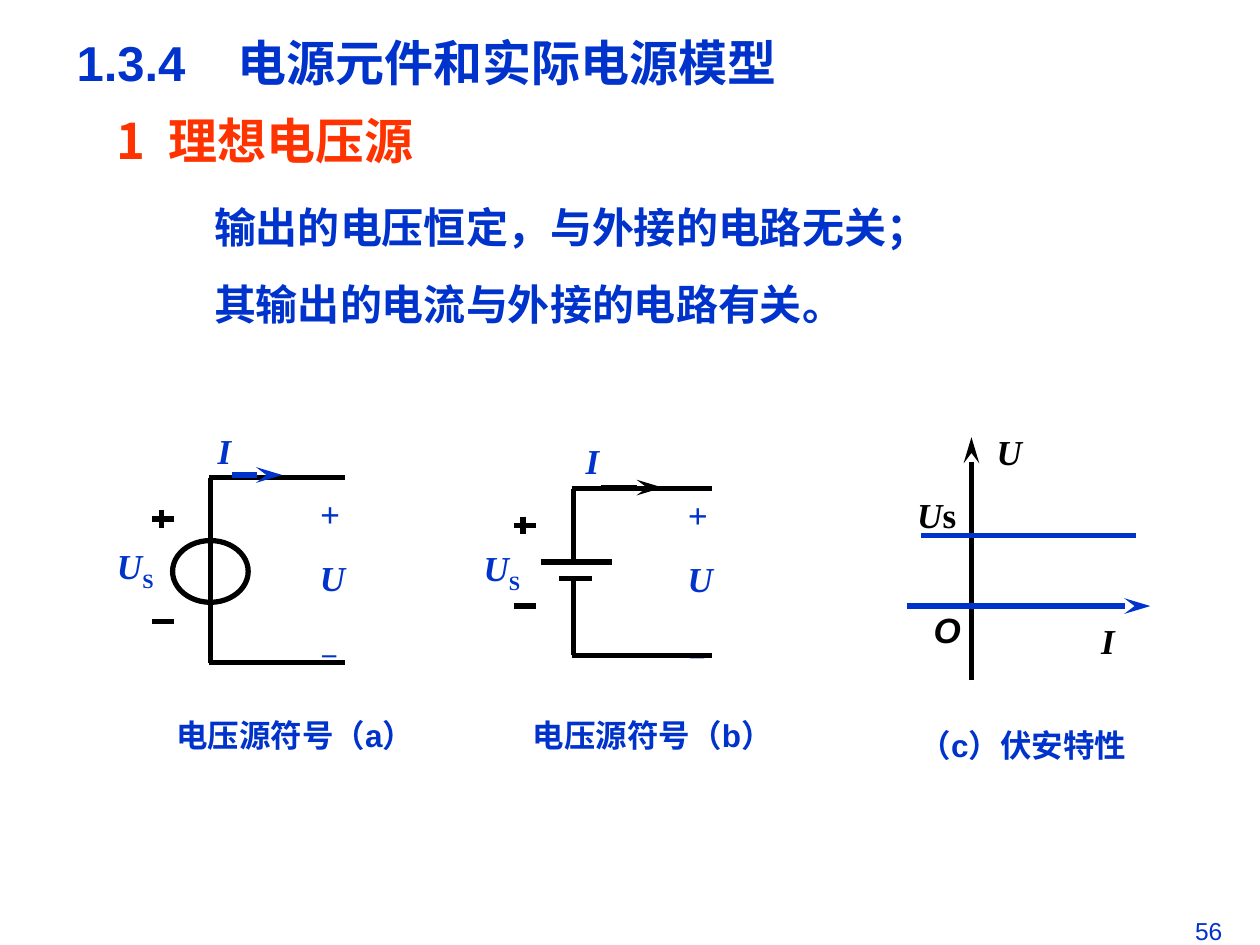
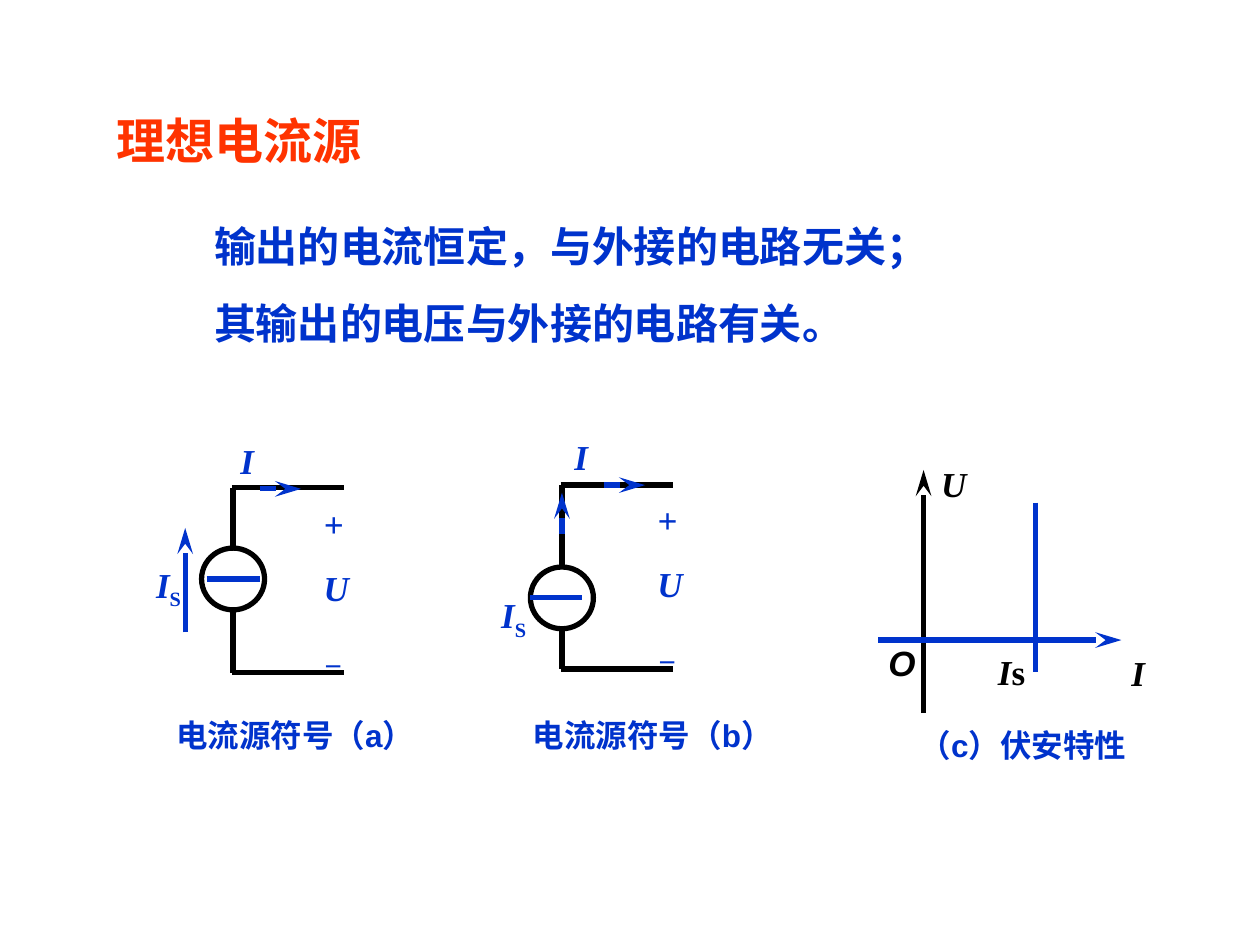
from dataclasses import dataclass
from lxml import etree
from pptx import Presentation
from pptx.dml.color import RGBColor
from pptx.enum import shapes, text
from pptx.oxml.ns import qn
from pptx.util import Inches, Pt


@dataclass(frozen=True)
class Theme:
    blue: str = "0033CC"
    red: str = "FF3300"
    black: str = "000000"
    white: str = "FFFFFF"
    sans: str = "Arial"
    serif: str = "Times New Roman"
    cjk: str = "Noto Sans CJK SC"
    title: int = 28
    body: int = 24
    symbol: int = 20
    caption: int = 18
    number: int = 14
    line: int = 3


T = Theme()
CELL = 0.1  # inches; the slide is a grid of 100 columns by 75 rows
COLS, ROWS = 100, 75

# Circuits: wire is (x, right end, top, bottom); a line is (x1, y1, x2, y2).
# Arrows point to their second end. A "|" in a symbol starts its upright part.
SLIDES = [
    {
        "title": "1.3.4\t电源元件和实际电源模型",
        "number": "56",
        "heading": "1\t理想电压源",
        "body_top": 15.5,
        "body": ["输出的电压恒定，与外接的电路无关；", "其输出的电流与外接的电路有关。"],
        "captions": ["电压源符号（a）", "电压源符号（b）"],
        "circuits": [
            {"wire": (16.7, 27.4, 37.9, 52.6), "circle": (13.7, 42.9, 6, 4.9), "wire_in_front": True,
             "source": "U|S", "source_at": (8.3, 42.7), "current_at": (16.3, 33.6),
             "terminals_at": (24.4, 38.6), "polarity": (12.1, 41.2, 49.3),
             "arrows": [(18.4, 37.7, 22.4, 37.7, T.blue)]},
            {"wire": (45.5, 56.5, 38.8, 52), "plates": [(42.9, 48.6, 44.6), (44.4, 47, 45.9)],
             "source": "U|S", "source_at": (37.4, 42.9), "current_at": (45.5, 34.4),
             "terminals_at": (53.6, 38.7), "polarity": (40.8, 41.7, 48.1),
             "arrows": [(47.7, 38.7, 52.6, 38.7, T.black)]},
        ],
        "graph": {"origin": (77.1, 48.1), "left": 72, "bottom": 54,
                  "curve": (73.1, 42.5, 90.2, 42.5),
                  "labels": [("U", 79.1, 34.2), ("U|s", 72.8, 39.2), ("I", 87.4, 49.2)],
                  "zero_at": (74.1, 48.3)},
    },
    {
        "heading": "理想电流源",
        "body_top": 17,
        "body": ["输出的电流恒定，与外接的电路无关；", "其输出的电压与外接的电路有关。"],
        "captions": ["电流源符号（a）", "电流源符号（b）"],
        "circuits": [
            {"wire": (18.5, 27.3, 38.7, 53.4), "circle": (16, 43.5, 5, 4.9), "bar": (16.4, 20.6),
             "source": "I|S", "source_at": (11.4, 44.2), "current_at": (18.1, 34.4),
             "terminals_at": (24.7, 39.4),
             "arrows": [(20.6, 38.8, 23.9, 38.8, T.blue), (14.7, 50.2, 14.7, 41.9, T.blue)]},
            {"wire": (44.6, 53.4, 38.5, 53.1), "circle": (42.1, 45, 5, 4.9), "bar": (42.1, 46.2),
             "source": "I|S", "source_at": (38.8, 46.6), "current_at": (44.6, 34.1),
             "terminals_at": (51.2, 39.1),
             "arrows": [(47.9, 38.5, 51.2, 38.5, T.blue), (44.6, 42.4, 44.6, 39.1, T.blue)]},
        ],
        "graph": {"origin": (73.3, 50.8), "left": 69.7, "bottom": 56.6,
                  "curve": (82.2, 39.9, 82.2, 53.3),
                  "labels": [("U", 74.7, 36.7), ("I|s", 79.2, 51.6), ("I", 89.8, 51.7)],
                  "zero_at": (70.5, 50.9)},
    },
]
CAPTION_BOXES = [(13, 56.3, 21.3, 7), (41.3, 56.3, 22.8, 4)]
GRAPH_CAPTION = ("（c）伏安特性", (72, 57.1, 23.6, 4))
AXIS_LENGTH = 19.3
AXIS_LABEL = (4, 3.3)  # wide enough for a symbol and its suffix on one line


def cells(*values):
    return [Inches(v * CELL) for v in values]


def rgb(color):
    return RGBColor.from_string(color)


def put_text(s, box, lines, size, color=T.blue, font=T.sans, bold=True, italic=False, sub=False,
             tab=None, indent=0, gap=0, inset=True, align=text.PP_ALIGN.LEFT):
    """Add a text box; in each line the part after "|" is upright, and lowered if sub."""
    tf = s.shapes.add_textbox(*cells(*box)).text_frame
    tf.word_wrap = True
    if not inset:
        tf.margin_left = tf.margin_right = tf.margin_top = tf.margin_bottom = 0
    for i, line in enumerate(lines):
        p = tf.paragraphs[0] if i == 0 else tf.add_paragraph()
        p.alignment = align
        if i and gap:
            p.space_before = Pt(gap)
        pPr = p._p.get_or_add_pPr()
        if indent:
            pPr.set("marL", str(cells(indent)[0]))
        if tab:
            tabs = etree.SubElement(pPr, qn("a:tabLst"))
            etree.SubElement(tabs, qn("a:tab"), pos=str(cells(tab)[0]), algn="l")
        for part, words in enumerate(line.split("|")):
            if not words:
                continue
            r = p.add_run()
            r.text = words
            f = r.font
            f.name, f.size, f.bold = font, Pt(size), bold
            f.italic = italic and part == 0
            f.color.rgb = rgb(color)
            rPr = f._element
            etree.SubElement(rPr, qn("a:ea"), typeface=T.cjk)
            if sub and part:
                rPr.set("baseline", "-25000")


def put_symbol(s, box, *lines, **fmt):
    put_text(s, box, lines, T.symbol, **{"font": T.serif, "italic": True, **fmt})


def put_line(s, x1, y1, x2, y2, color=T.black, arrow=False):
    c = s.shapes.add_connector(shapes.MSO_CONNECTOR.STRAIGHT, *cells(x1, y1, x2, y2))
    c.line.color.rgb = rgb(color)
    c.line.width = Pt(T.line)
    if arrow:
        etree.SubElement(c.line._get_or_add_ln(), qn("a:tailEnd"), type="stealth", len="lg")
    etree.SubElement(c._element.spPr, qn("a:effectLst"))


def put_circle(s, box):
    sp = s.shapes.add_shape(shapes.MSO_SHAPE.OVAL, *cells(*box))
    sp.shadow.inherit = False
    sp.fill.solid()
    sp.fill.fore_color.rgb = rgb(T.white)
    sp.line.color.rgb = rgb(T.black)
    sp.line.width = Pt(T.line)


def put_circuit(s, c):
    put_symbol(s, (*c["terminals_at"], 7, 15), "+", "U", "|－", sub=True, gap=12.5)
    put_symbol(s, (*c["current_at"], 6, 4.4), "I")
    put_symbol(s, (*c["source_at"], 11, 4.8), c["source"], sub=True)
    x, right, top, bottom = c["wire"]
    circle, plates = c.get("circle"), c.get("plates")
    in_front = c.get("wire_in_front")
    if circle and in_front:
        put_circle(s, circle)
    if plates:
        (_, _, upper), (_, _, lower) = plates
        put_line(s, x, top, x, upper)
        put_line(s, x, lower, x, bottom)
        for x1, x2, y in plates:
            put_line(s, x1, y, x2, y)
    else:
        put_line(s, x, top, x, bottom)
    if circle and not in_front:
        put_circle(s, circle)
    for y in (top, bottom):
        put_line(s, x - 0.1, y, right, y)
    if "bar" in c:
        y = circle[1] + circle[3] / 2
        put_line(s, c["bar"][0], y, c["bar"][1], y, T.blue)
    if "polarity" in c:
        left, plus, minus = c["polarity"]
        for y in (plus, minus):
            put_line(s, left, y, left + 1.7, y)
        put_line(s, left + 0.7, plus - 0.7, left + 0.7, plus + 0.7)
    for *ends, color in c["arrows"]:
        put_line(s, *ends, color, arrow=True)


def put_graph(s, g):
    x, y = g["origin"]
    put_line(s, x, g["bottom"], x, g["bottom"] - AXIS_LENGTH, arrow=True)
    put_line(s, *g["curve"], T.blue)
    put_line(s, g["left"], y, g["left"] + AXIS_LENGTH, y, T.blue, arrow=True)
    flat = {"color": T.black, "inset": False}
    for label, left, top in g["labels"]:
        put_symbol(s, (left, top, *AXIS_LABEL), label, **flat)
    put_symbol(s, (*g["zero_at"], *AXIS_LABEL), "O", font=T.sans, **flat)
    caption, box = GRAPH_CAPTION
    put_text(s, box, [caption], T.caption)


def put_slide(prs, d):
    s = prs.slides.add_slide(prs.slide_layouts[6])
    if "title" in d:
        put_text(s, (5.1, 2.1, 63, 5.7), [d["title"]], T.title, tab=12.8)
    put_text(s, (8.3, 8.3, 80.3, 5.7), [d["heading"]], T.title, color=T.red, font=T.cjk, tab=4.1)
    put_text(s, (11.4, d["body_top"], 77.2, 11.1), d["body"], T.body, indent=4.6, gap=15)
    for circuit in d["circuits"]:
        put_circuit(s, circuit)
    for caption, box in zip(d["captions"], CAPTION_BOXES):
        put_text(s, box, [caption], T.caption)
    put_graph(s, d["graph"])
    if "number" in d:
        put_text(s, (73, 72.2, 25, 2.8), [d["number"]], T.number, bold=False,
                 align=text.PP_ALIGN.RIGHT)


def main():
    prs = Presentation()
    prs.slide_width, prs.slide_height = cells(COLS, ROWS)
    for d in SLIDES:
        put_slide(prs, d)
    prs.save("out.pptx")


if __name__ == "__main__":
    main()
